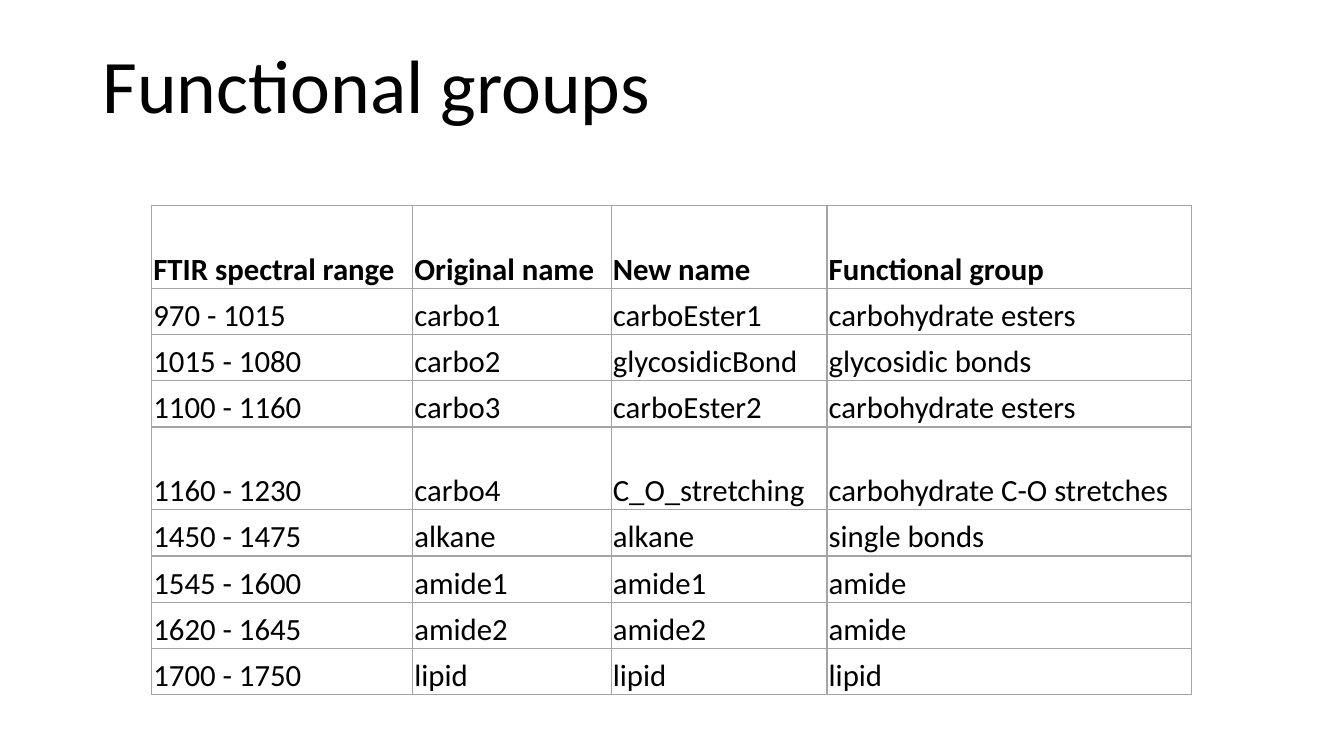
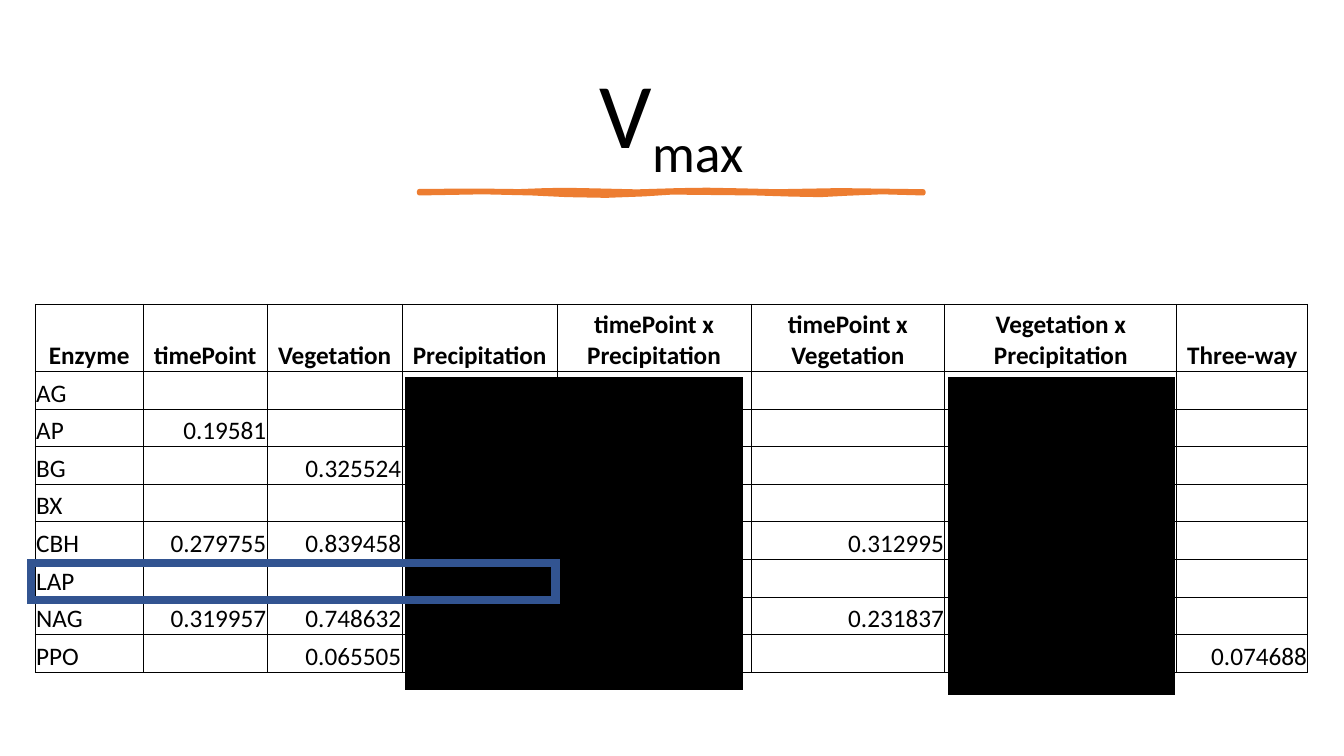
from dataclasses import dataclass
from itertools import accumulate

from lxml.etree import SubElement
from pptx import Presentation
from pptx.dml.color import RGBColor
from pptx.enum.shapes import MSO_SHAPE as Shape
from pptx.enum.text import MSO_ANCHOR as Anchor, MSO_AUTO_SIZE as AutoSize, PP_ALIGN as Align
from pptx.oxml.ns import qn
from pptx.util import Pt


@dataclass(frozen=True)
class Theme:
    font: str = "Calibri"
    ink: str = "000000"
    grid: str = "A5A5A5"
    accent: str = "ED7D31"
    highlight: str = "325491"
    title: int = 54
    hero: int = 66
    table: int = 22
    dense_table: int = 18


THEME = Theme()


class Deck:
    def __init__(self, theme, width, height):
        self.theme = theme
        self.presentation = Presentation()
        self.presentation.slide_width = Pt(width)
        self.presentation.slide_height = Pt(height)
        self.slide = None

    def new_slide(self):
        title_only = self.presentation.slide_layouts[5]
        self.slide = self.presentation.slides.add_slide(title_only)

    def style_runs(self, paragraph, size, bold=False):
        for run in paragraph.runs:
            run.font.name = self.theme.font
            run.font.size = Pt(size)
            run.font.bold = bold
            run.font.color.rgb = RGBColor.from_string(self.theme.ink)

    def title(self, text, box, size, align=Align.LEFT, anchor=Anchor.BOTTOM, subscript=""):
        heading = self.slide.shapes.title
        heading.left, heading.top, heading.width, heading.height = map(Pt, box)
        frame = heading.text_frame
        frame.text = text
        frame.word_wrap = True
        frame.auto_size = AutoSize.NONE
        frame.vertical_anchor = anchor
        paragraph = frame.paragraphs[0]
        paragraph.alignment = align
        paragraph.line_spacing = 0.9
        if subscript:
            lowered = paragraph.add_run()
            lowered.text = subscript
            lowered.font._element.set("baseline", "-25000")
        self.style_runs(paragraph, size)

    def border(self, cell, color, weight):
        properties = cell._tc.get_or_add_tcPr()
        for side in ("a:lnL", "a:lnR", "a:lnT", "a:lnB"):
            edge = SubElement(properties, qn(side), w=str(Pt(weight)))
            fill = SubElement(edge, qn("a:solidFill"))
            SubElement(fill, qn("a:srgbClr"), val=color)

    def table(self, origin, widths, heights, rows, size, grid, weight, inset,
              header_align=Align.LEFT, value_align=Align.LEFT):
        table = self.slide.shapes.add_table(
            len(rows), len(widths), *map(Pt, (*origin, sum(widths), sum(heights)))).table
        table.first_row = table.horz_banding = False
        for column, width in zip(table.columns, widths):
            column.width = Pt(width)
        for row, height in zip(table.rows, heights):
            row.height = Pt(height)
        for r, row in enumerate(rows):
            for c, text in enumerate(row):
                cell = table.cell(r, c)
                self.border(cell, grid, weight)
                cell.fill.background()
                cell.margin_left = cell.margin_right = cell.margin_top = Pt(inset)
                cell.margin_bottom = 0
                cell.vertical_anchor = Anchor.BOTTOM
                if text:
                    cell.text_frame.text = text
                    paragraph = cell.text_frame.paragraphs[0]
                    paragraph.alignment = (
                        header_align if r == 0 else value_align if c else Align.LEFT)
                    self.style_runs(paragraph, size, bold=r == 0)

    def outline(self, shape, color, weight, join):
        shape.shadow.inherit = False
        shape.line.color.rgb = RGBColor.from_string(color)
        shape.line.width = Pt(weight)
        SubElement(shape.element.spPr.find(qn("a:ln")), qn(join))

    def fill(self, shape, color):
        shape.fill.solid()
        shape.fill.fore_color.rgb = RGBColor.from_string(color)

    def rectangle(self, box, line, weight, fill=None):
        block = self.slide.shapes.add_shape(Shape.RECTANGLE, *map(Pt, box))
        if fill:
            self.fill(block, fill)
        else:
            block.fill.background()
        self.outline(block, line, weight, "a:miter")

    def brush_stroke(self, upper, lower, color, weight):
        start, *rest = [(Pt(x), Pt(y)) for x, y in upper + lower[::-1]]
        builder = self.slide.shapes.build_freeform(*start)
        builder.add_line_segments(rest, close=True)
        stroke = builder.convert_to_shape()
        self.fill(stroke, color)
        self.outline(stroke, color, weight, "a:round")


def functional_groups(deck):
    theme = deck.theme
    deck.new_slide()
    deck.title("Functional groups", (66, 23, 828, 73.5), theme.title)
    rows = [
        ("FTIR spectral range", "Original name", "New name", "Functional group"),
        ("970 - 1015", "carbo1", "carboEster1", "carbohydrate esters"),
        ("1015 - 1080", "carbo2", "glycosidicBond", "glycosidic bonds"),
        ("1100 - 1160", "carbo3", "carboEster2", "carbohydrate esters"),
        ("1160 - 1230", "carbo4", "C_O_stretching", "carbohydrate C-O stretches"),
        ("1450 - 1475", "alkane", "alkane", "single bonds"),
        ("1545 - 1600", "amide1", "amide1", "amide"),
        ("1620 - 1645", "amide2", "amide2", "amide"),
        ("1700 - 1750", "lipid", "lipid", "lipid"),
    ]
    tall_rows = (0, 4)
    heights = [59.2 if r in tall_rows else 33 for r in range(len(rows))]
    deck.table((108.4, 146.8), (186.4, 141.8, 154.2, 260.5), heights, rows,
               theme.table, theme.grid, 1, 1.2)


def vmax(deck):
    theme = deck.theme
    deck.new_slide()
    deck.title("V", (50.2, 32.8, 859, 98.5), theme.hero, Align.CENTER, Anchor.MIDDLE, "max")
    upper = [(299.5, 136.6), (341, 136.3), (371, 136.7), (390, 136),
             (405, 135.8), (425, 136.2), (455, 136.9), (485, 136),
             (505, 135.7), (530, 136.2), (555, 136.8), (600, 136), (659.5, 136.8)]
    lower = [(299.5, 138), (345, 137.2), (380, 138), (405, 139.2),
             (433, 139.7), (460, 138.7), (480, 137.4), (540, 138),
             (565, 138.8), (586, 139.2), (605, 138.2), (630, 137.2), (659.5, 138)]
    deck.brush_stroke(upper, lower, theme.accent, 3.25)

    headers = ("Enzyme", "timePoint", "Vegetation", "Precipitation",
               "timePoint x Precipitation", "timePoint x Vegetation",
               "Vegetation x Precipitation", "Three-way")
    results = {
        "AG": {},
        "AP": {"timePoint": "0.19581"},
        "BG": {"Vegetation": "0.325524"},
        "BX": {},
        "CBH": {"timePoint": "0.279755", "Vegetation": "0.839458",
                "timePoint x Vegetation": "0.312995"},
        "LAP": {},
        "NAG": {"timePoint": "0.319957", "Vegetation": "0.748632",
                "timePoint x Vegetation": "0.231837"},
        "PPO": {"Vegetation": "0.065505", "Three-way": "0.074688"},
    }
    rows = [headers] + [(enzyme, *(values.get(name, "") for name in headers[1:]))
                        for enzyme, values in results.items()]
    left, top = 25.2, 217.3
    widths = (77.1, 88.6, 96.4, 110.7, 138.5, 138.5, 165.7, 93.6)
    heights = [48] + [26.87] * len(results)
    deck.table((left, top), widths, heights, rows, theme.dense_table, theme.ink, 0.5, 0.7,
               Align.CENTER, Align.RIGHT)

    edges = list(accumulate(widths, initial=left))
    for column, width, height in ((3, 240.5, 222.5), (6, 161.3, 226)):
        deck.rectangle((edges[column] + 2.7, 270, width, height),
                       theme.ink, 1, theme.ink)
    lap_top = top + sum(heights[:list(results).index("LAP") + 1])
    deck.rectangle((left - 2.9, lap_top + 2.5, 374.4, 26.6), theme.highlight, 6)


def main():
    deck = Deck(THEME, 960, 540)
    functional_groups(deck)
    vmax(deck)
    deck.presentation.save("out.pptx")


if __name__ == "__main__":
    main()
